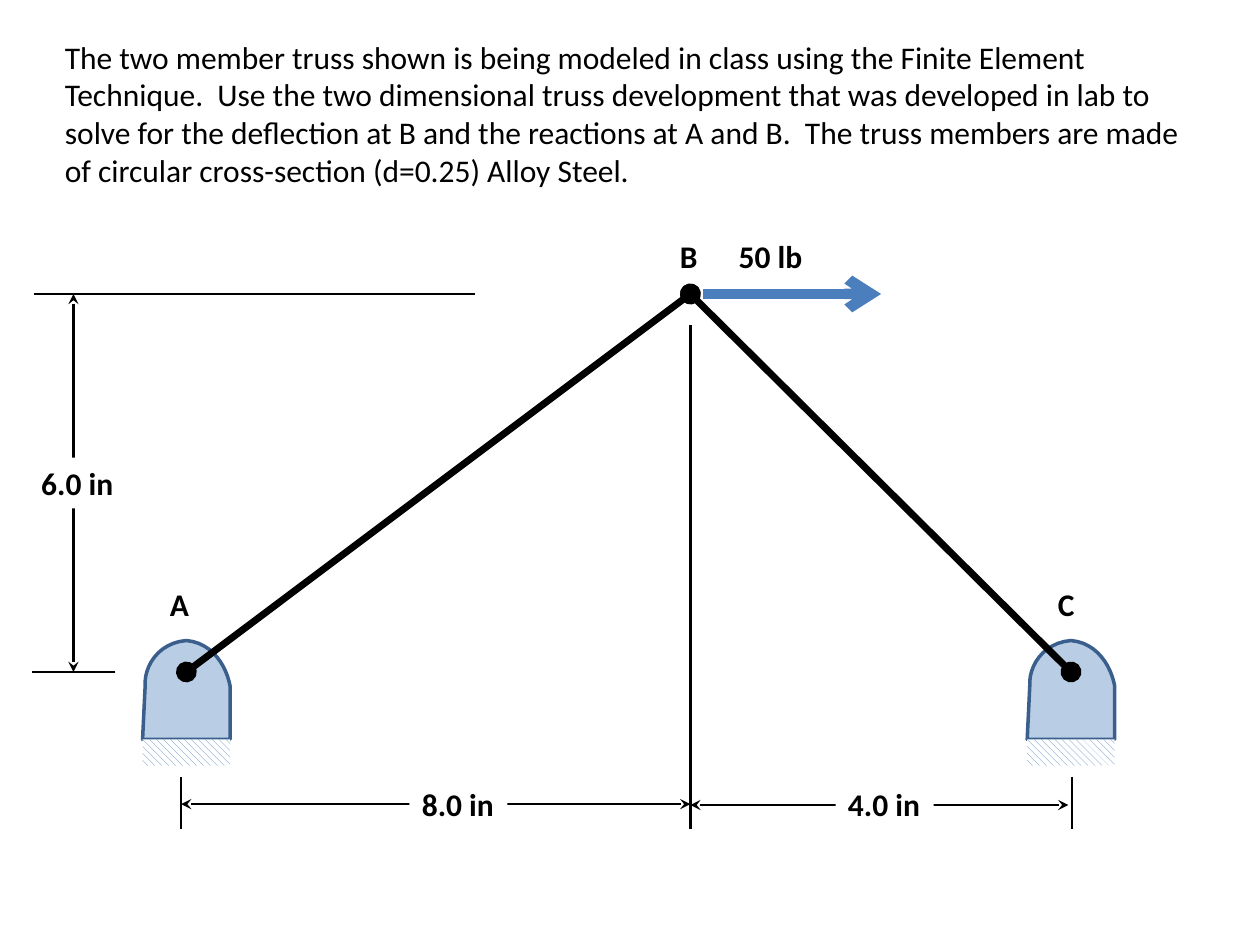
import pptx
import pptx.util
import pptx.dml.color
import pptx.enum.dml
import pptx.enum.shapes
import pptx.enum.text
from lxml import etree

Pt = pptx.util.Pt
COLORS = {"ink": "000000", "paper": "FFFFFF", "support": "B9CDE5",
          "outline": "3A5F8C", "hatch": "4F81BD", "force": "4B7EBC"}
PROBLEM = ("The two member truss shown is being modeled in class using the "
           "Finite Element Technique.  Use the two dimensional truss development "
           "that was developed in lab to solve for the deflection at B and the "
           "reactions at A and B.  The truss members are made of circular "
           "cross-section (d=0.25) Alloy Steel.")


def rgb(name):
    return pptx.dml.color.RGBColor.from_string(COLORS[name])


def add_line(s, x1, y1, x2, y2, width=1.5, color="ink", head=None, tail=None):
    sp = s.shapes.add_connector(pptx.enum.shapes.MSO_CONNECTOR.STRAIGHT,
                                Pt(x1), Pt(y1), Pt(x2), Pt(y2))
    sp.line.width = Pt(width)
    sp.line.color.rgb = rgb(color)
    ns = pptx.oxml.ns.qn
    ln = sp.line._get_or_add_ln()
    for tag, kind in (("a:headEnd", head), ("a:tailEnd", tail)):
        if kind:
            etree.SubElement(ln, ns(tag), type=kind)
    etree.SubElement(sp._element.spPr, ns("a:effectLst"))


def add_text(s, x, y, w, h, text, bold=True, wrap=False, fill=None):
    sp = s.shapes.add_textbox(Pt(x), Pt(y), Pt(w), Pt(h))
    if fill:
        sp.fill.solid()
        sp.fill.fore_color.rgb = rgb(fill)
    tf = sp.text_frame
    tf.word_wrap = wrap
    tf.auto_size = pptx.enum.text.MSO_AUTO_SIZE.SHAPE_TO_FIT_TEXT
    r = tf.paragraphs[0].add_run()
    r.text = text
    r.font.name = "Calibri"
    r.font.size = Pt(18)
    r.font.bold = bold
    r.font.color.rgb = rgb("ink")


def bezier(p0, p1, p2, p3, steps=12):
    for i in range(1, steps + 1):
        t = i / steps
        u = 1 - t
        yield tuple(u**3 * a + 3 * u * u * t * b + 3 * u * t * t * c + t**3 * d
                    for a, b, c, d in zip(p0, p1, p2, p3))


def add_support(s, x, y, w, h):
    # Rounded bracket, in fractions of its box
    left, top, right = (0.03, 0.46), (0.5, 0), (1, 0.46)
    outline = [left,
               *bezier(left, (0.015, 0.27), (0.17, 0.025), top),
               *bezier(top, (0.81, 0.025), (0.96, 0.27), right),
               (1, 1), (0, 1)]
    points = [(Pt(x + fx * w), Pt(y + fy * h)) for fx, fy in outline]
    fb = s.shapes.build_freeform(*points[0])
    fb.add_line_segments(points[1:], close=True)
    sp = fb.convert_to_shape()
    sp.shadow.inherit = False
    sp.fill.solid()
    sp.fill.fore_color.rgb = rgb("support")
    sp.line.color.rgb = rgb("outline")
    sp.line.width = Pt(2)

    # Hatched ground
    sp = s.shapes.add_shape(pptx.enum.shapes.MSO_SHAPE.RECTANGLE,
                            Pt(x), Pt(y + h), Pt(w), Pt(15))
    sp.shadow.inherit = False
    sp.fill.patterned()
    sp.fill.pattern = pptx.enum.dml.MSO_PATTERN.WIDE_DOWNWARD_DIAGONAL
    sp.fill.fore_color.rgb = rgb("hatch")
    sp.fill.back_color.rgb = rgb("paper")
    sp.line.fill.background()


def add_truss(s, x, y, w, h):
    apex, right, base = x + 288, x + w, y + h
    for pin, label_x, name in ((x, x - 16.5, "A"), (right, right - 14.5, "C")):
        add_support(s, pin - 25, base - 18, 50, 56.5)
        add_line(s, pin, base, apex, y, 4, head="oval", tail="oval")
        add_text(s, label_x, base - 53.5, 25, 29, name)
    add_text(s, apex - 13, y - 36, 25, 29, "B")
    # Load at the apex
    add_line(s, apex + 7.5, y, apex + 109, y, 6, "force", tail="arrow")
    add_text(s, apex + 20.5, y - 36, 51, 29, "50 lb", fill="paper")


def add_dimensions(s, x, y, w, h):
    apex, right, base = x + 288, x + w, y + h
    # Extension lines
    for ends in ((x + 165, y, x - 87, y), (x - 40.5, base, x - 88.5, base),
                 (apex, y + 18, apex, base + 90),
                 (x - 3, base + 60, x - 3, base + 90),
                 (right + 0.5, base + 60, right + 0.5, base + 90)):
        add_line(s, *ends)
    # Arrows, each with its label laid over it
    for ends, lx, ly, text in (
            ((x - 64.5, y, x - 64.5, base), x - 90, y + 93.5, "6.0 in"),
            ((x - 3, base + 75.5, apex, base + 75.5), x + 127.5, base + 61, "8.0 in"),
            ((apex, base + 76, right - 1.5, base + 76), x + 371, base + 61, "4.0 in")):
        add_line(s, *ends, head="stealth", tail="stealth")
        add_text(s, lx, ly, 56, 29, text, fill="paper")


prs = pptx.Presentation()
prs.slide_width, prs.slide_height = Pt(720), Pt(540)
s = prs.slides.add_slide(prs.slide_layouts[6])
truss_box = (106.5, 168, 505.5, 216)
add_truss(s, *truss_box)
add_dimensions(s, *truss_box)
add_text(s, 30, 18, 654, 94.5, PROBLEM, bold=False, wrap=True)
prs.save("out.pptx")
